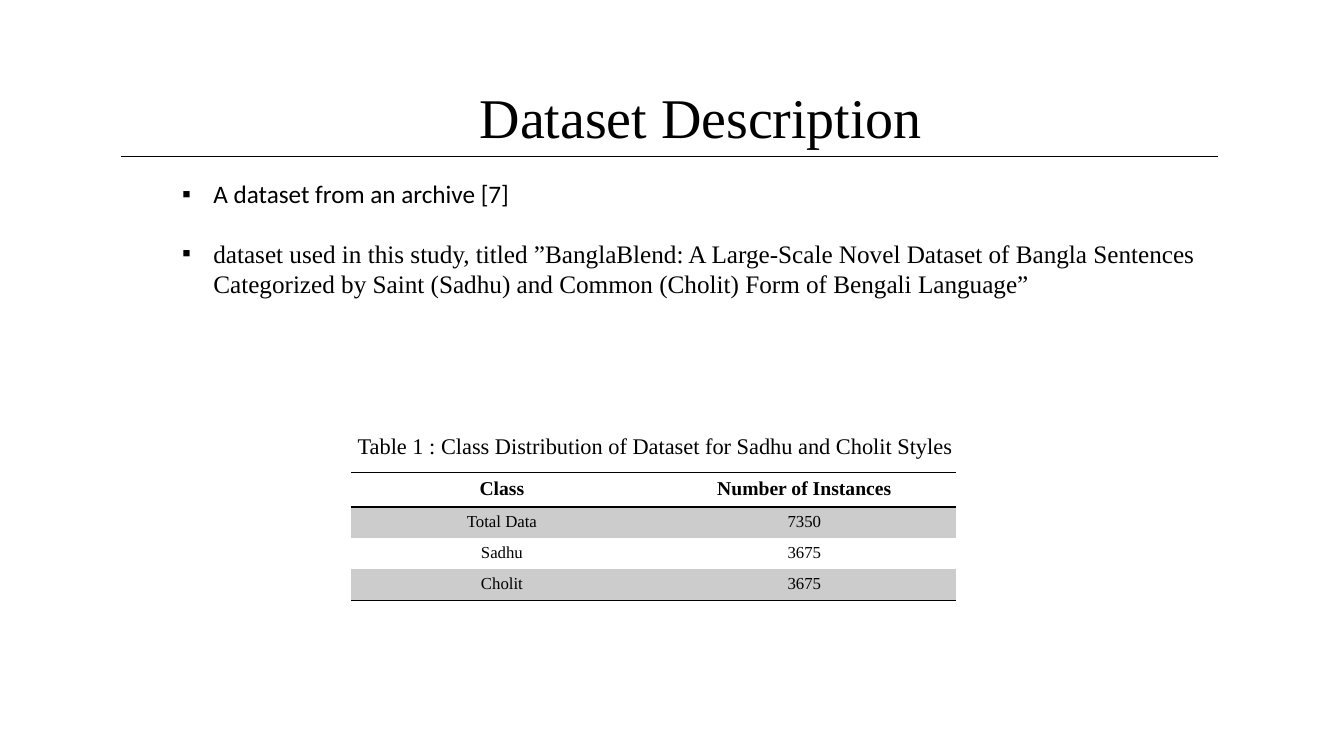
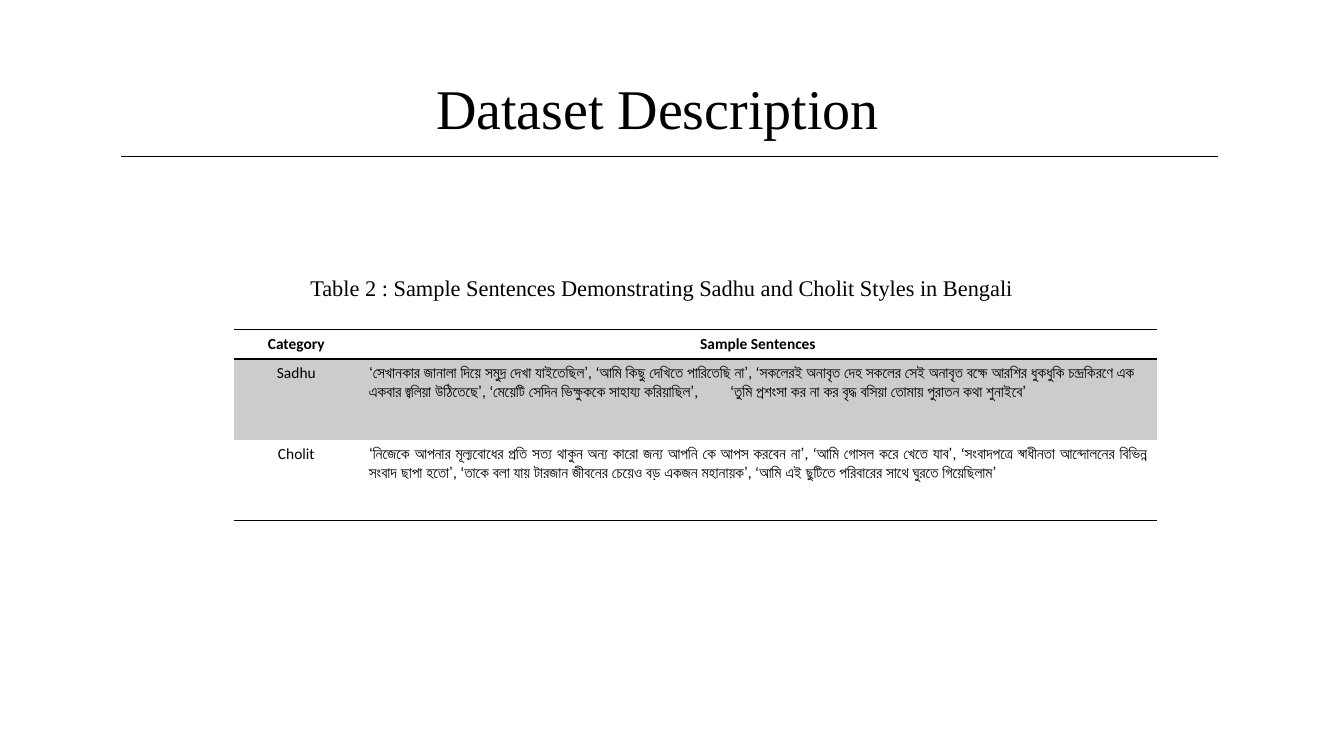
from dataclasses import dataclass

from lxml.etree import SubElement
from pptx import Presentation
from pptx.dml.color import RGBColor
from pptx.enum.shapes import MSO_CONNECTOR
from pptx.enum.text import PP_ALIGN as Align
from pptx.oxml.ns import qn
from pptx.util import Emu, Inches, Pt

# The slide is a grid of 160 columns by 90 rows of square cells.
COLS, ROWS = 160, 90
SLIDE_W, SLIDE_H = Inches(40 / 3), Inches(7.5)
SERIF, SANS = "Times New Roman", "Calibri"
INK, BAND = "000000", "CCCCCC"
NO_STYLE = "{2D5ABB26-0587-4C30-8999-92F81FD0307C}"
TITLE = "Dataset Description"
HANGING = 3.72
SENTENCE_TAB = 43


@dataclass(frozen=True)
class Area:
    col: float
    row: float
    width: float
    height: float


@dataclass(frozen=True)
class TextStyle:
    font: str
    size: float
    bold: bool = False


@dataclass(frozen=True)
class TableSpec:
    col: float
    row: float
    widths: tuple[float, ...]
    heights: tuple[float, ...]
    head: TextStyle
    body: TextStyle
    cells: tuple[tuple[str, ...], ...]


TITLE_STYLE = TextStyle(SERIF, 40)
CAPTION_STYLE = TextStyle(SERIF, 16)

CLASS_TABLE = TableSpec(
    41.76, 56.28, (36, 36), (4.08, 3.72, 3.72, 3.72),
    TextStyle(SERIF, 14, True), TextStyle(SERIF, 12),
    (("Class", "Number of Instances"),
     ("Total Data", "7350"),
     ("Sadhu", "3675"),
     ("Cholit", "3675")),
)
SENTENCE_TABLE = TableSpec(
    27.84, 39.24, (14.88, 95.04), (3.5, 9.6, 9.6),
    TextStyle(SANS, 11, True), TextStyle(SANS, 11),
    (("Category", "Sample Sentences"),
     ("Sadhu",
      "‘সেখানকার জানালা দিয়ে সমুদ্র দেখা যাইতেছিল’, ‘আমি কিছু দেখিতে পারিতেছি না’, "
      "‘সকলেরই অনাবৃত দেহ সকলের সেই অনাবৃত বক্ষে আরশির ধুকধুকি চন্দ্রকিরণে এক "
      "একবার জ্বলিয়া উঠিতেছে’, ‘মেয়েটি সেদিন ভিক্ষুককে সাহায্য করিয়াছিল’,\t"
      "‘তুমি প্রশংসা কর না কর বৃদ্ধ বসিয়া তোমায় পুরাতন কথা শুনাইবে’"),
     ("Cholit",
      "‘নিজেকে আপনার মূল্যবোধের প্রতি সত্য থাকুন অন্য কারো জন্য আপনি কে আপস করবেন না’, "
      "‘আমি গোসল করে খেতে যাব’, ‘সংবাদপত্রে স্বাধীনতা আন্দোলনের বিভিন্ন সংবাদ ছাপা হতো’, "
      "‘তাকে বলা যায় টারজান জীবনের চেয়েও বড় একজন মহানায়ক’, "
      "‘আমি এই ছুটিতে পরিবারের সাথে ঘুরতে গিয়েছিলাম’")),
)
BULLETS = (
    ("A dataset from an archive [7]", TextStyle(SANS, 18)),
    ("dataset used in this study, titled ”BanglaBlend: A Large-Scale Novel Dataset of "
     "Bangla Sentences Categorized by Saint (Sadhu) and Common (Cholit) Form of "
     "Bengali Language”", TextStyle(SERIF, 18)),
)


def across(cols: float) -> Emu:
    return Emu(round(SLIDE_W * cols / COLS))


def down(rows: float) -> Emu:
    return Emu(round(SLIDE_H * rows / ROWS))


def rgb(color: str) -> RGBColor:
    return RGBColor.from_string(color)


def add_run(p, text: str, style: TextStyle) -> None:
    r = p.add_run()
    r.text = text
    r.font.name, r.font.size, r.font.bold = style.font, Pt(style.size), style.bold
    r.font.color.rgb = rgb(INK)


def add_frame(s, area: Area):
    """Add an empty wrapping text box and return its text frame."""
    box = s.shapes.add_textbox(across(area.col), down(area.row),
                               across(area.width), down(area.height))
    box.text_frame.word_wrap = True
    return box.text_frame


def add_label(s, area: Area, text: str, style: TextStyle) -> None:
    add_run(add_frame(s, area).paragraphs[0], text, style)


def add_bullets(s, area: Area) -> None:
    tf = add_frame(s, area)
    for i, (text, style) in enumerate(BULLETS):
        p = tf.add_paragraph() if i else tf.paragraphs[0]
        pPr = p._p.get_or_add_pPr()
        pPr.set("marL", str(across(HANGING)))
        pPr.set("indent", str(-across(HANGING)))
        SubElement(pPr, qn("a:buFont"), typeface="Arial")
        SubElement(pPr, qn("a:buChar"), char="▪")
        if i:
            p.space_before = Pt(21)
        add_run(p, text, style)


def add_border(cell, side: str) -> None:
    ln = SubElement(cell._tc.get_or_add_tcPr(), qn(f"a:{side}"), w=str(Pt(1)))
    fill = SubElement(ln, qn("a:solidFill"))
    SubElement(fill, qn("a:srgbClr"), val=INK)


def cell_align(text: str, row: int, last: int) -> Align:
    """Centre short cells; long ones are left-aligned, justified in the last row."""
    if len(text) < 30:
        return Align.CENTER
    return Align.JUSTIFY if row == last else Align.LEFT


def add_ruled_table(s, spec: TableSpec) -> None:
    last = len(spec.heights) - 1
    table = s.shapes.add_table(
        len(spec.heights), len(spec.widths), across(spec.col), down(spec.row),
        across(sum(spec.widths)), down(sum(spec.heights))).table
    table.first_row = table.horz_banding = False
    table._tbl.tblPr.find(qn("a:tableStyleId")).text = NO_STYLE
    for column, width in zip(table.columns, spec.widths):
        column.width = across(width)
    for i, (height, texts) in enumerate(zip(spec.heights, spec.cells)):
        table.rows[i].height = down(height)
        for j, text in enumerate(texts):
            cell = table.cell(i, j)
            if i == 0:
                add_border(cell, "lnT")
            if i in (0, last):
                add_border(cell, "lnB")
            if i % 2:
                cell.fill.solid()
                cell.fill.fore_color.rgb = rgb(BAND)
            else:
                cell.fill.background()
            p = cell.text_frame.paragraphs[0]
            p.alignment = cell_align(text, i, last)
            if "\t" in text:
                tabs = SubElement(p._p.get_or_add_pPr(), qn("a:tabLst"))
                SubElement(tabs, qn("a:tab"), pos=str(across(SENTENCE_TAB)), algn="l")
            add_run(p, text, spec.body if i else spec.head)


def add_titled_slide(prs, col: float, row: float):
    """Add a slide with the ruled title placed at the given cell."""
    s = prs.slides.add_slide(prs.slide_layouts[6])
    add_label(s, Area(col, row, 57.84, 9.24), TITLE, TITLE_STYLE)
    rule = s.shapes.add_connector(MSO_CONNECTOR.STRAIGHT, across(14.4), down(18.6),
                                  across(145), down(18.6))
    rule.line.color.rgb = rgb(INK)
    rule.line.width = Pt(1)
    SubElement(rule._element.spPr, qn("a:effectLst"))
    return s


def main() -> None:
    prs = Presentation()
    prs.slide_width, prs.slide_height = SLIDE_W, SLIDE_H

    s = add_titled_slide(prs, 55.92, 9.24)
    add_bullets(s, Area(20.5, 20.64, 133.44, 15.72))
    add_ruled_table(s, CLASS_TABLE)
    add_label(s, Area(41.4, 50.88, 84.48, 4.44),
              "Table 1 : Class Distribution of Dataset for Sadhu and Cholit Styles",
              CAPTION_STYLE)

    s = add_titled_slide(prs, 50.76, 8.16)
    add_label(s, Area(35.76, 32.04, 97.68, 4.44),
              "Table 2 : Sample Sentences Demonstrating Sadhu and Cholit Styles in Bengali",
              CAPTION_STYLE)
    add_ruled_table(s, SENTENCE_TABLE)

    prs.save("out.pptx")


if __name__ == "__main__":
    main()
